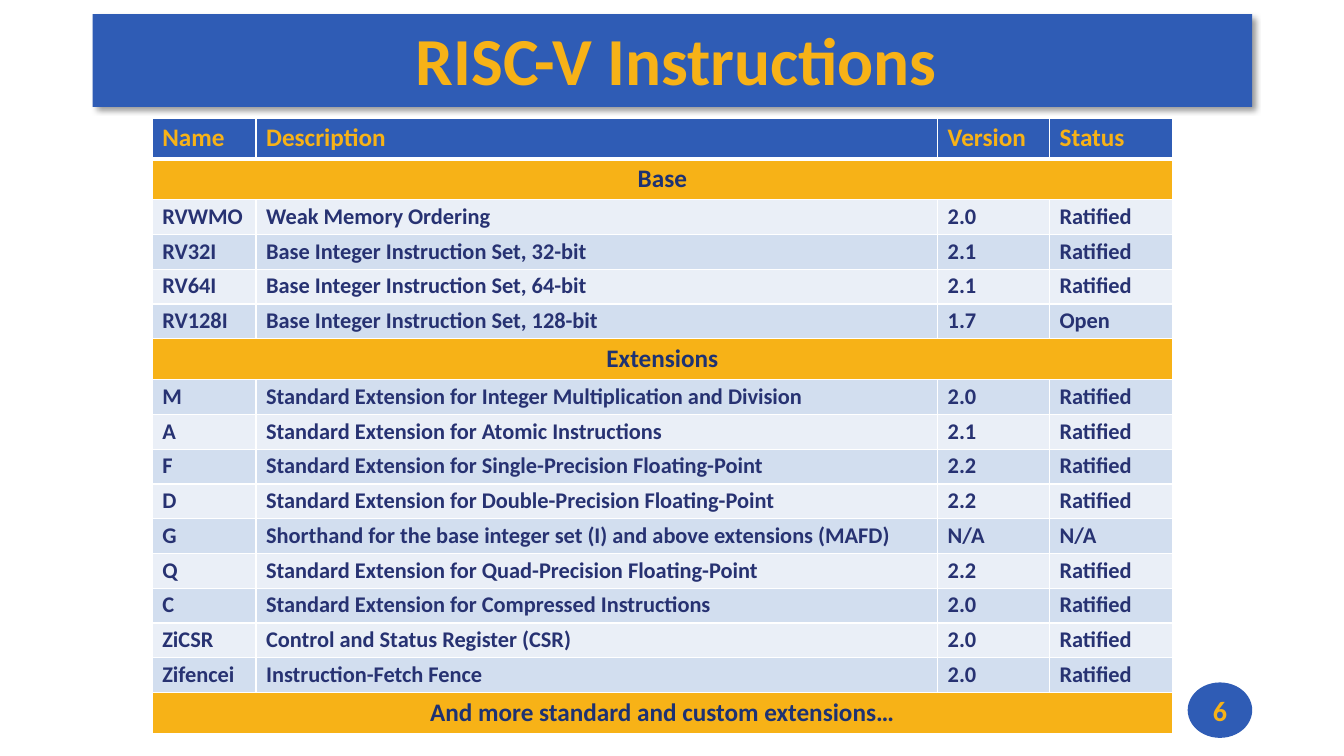
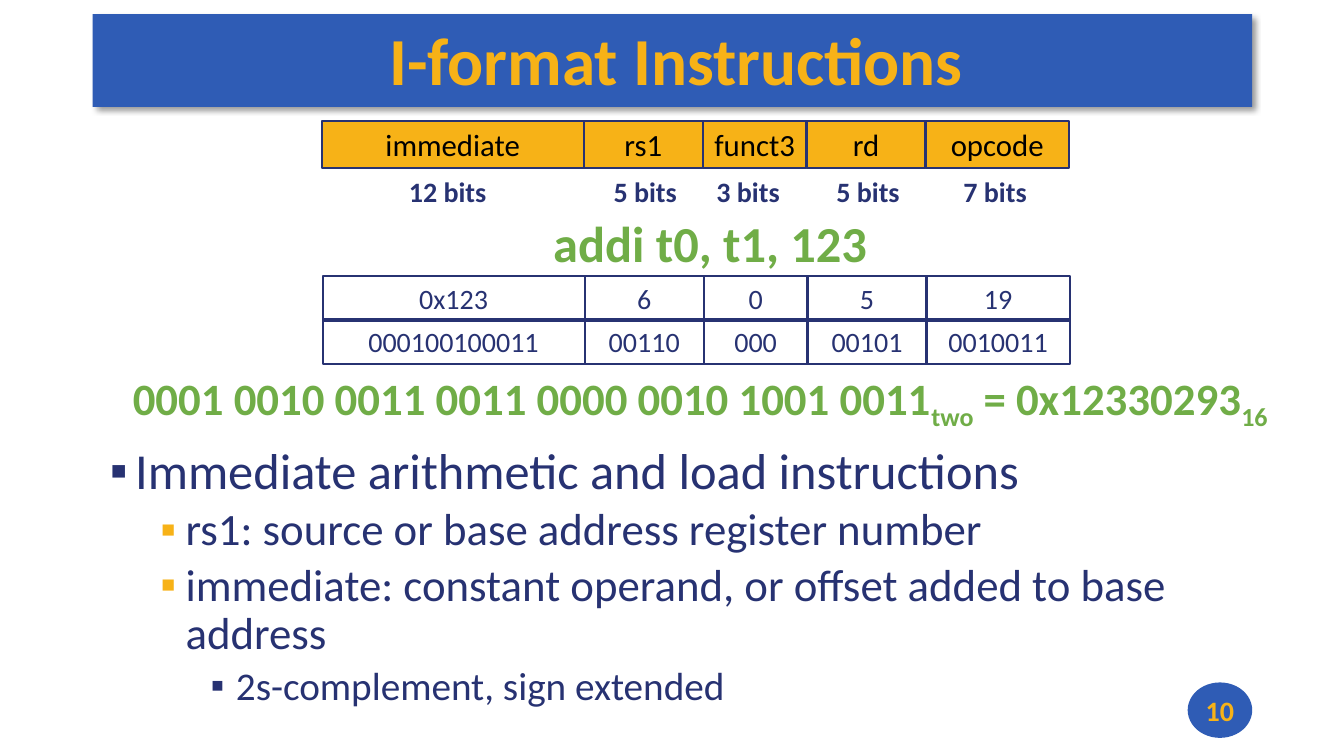
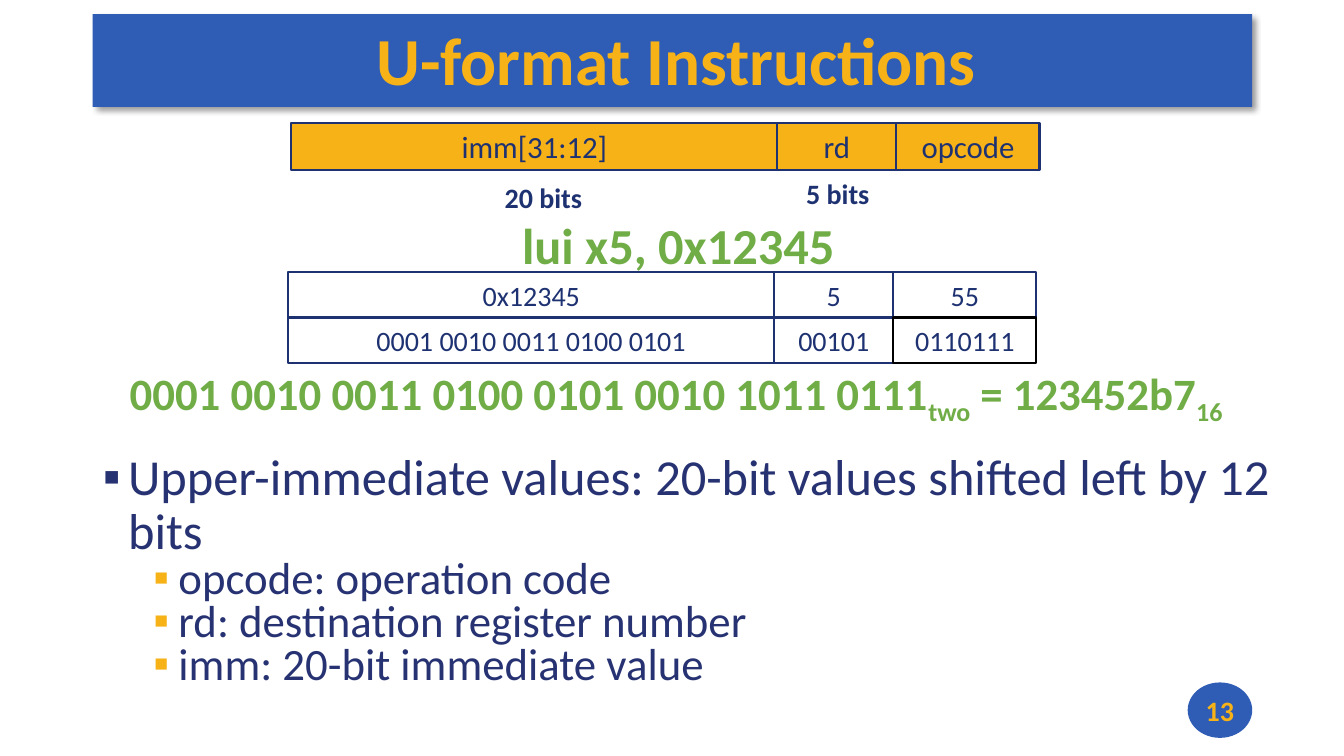
from lxml import etree
from pptx import Presentation
from pptx.dml.color import RGBColor
from pptx.enum import shapes, text
from pptx.oxml.ns import qn
from pptx.util import Inches, Pt

COLORS = {
    "blue": "2F5CB5", "gold": "F7B217", "navy": "1E3272", "ink": "273272",
    "green": "70AD47", "black": "000000", "white": "FFFFFF",
    "light": "EAEFF7", "pale": "D2DEEF",
}
FONT = "Calibri"
CENTER, LEFT = text.PP_ALIGN.CENTER, text.PP_ALIGN.LEFT
MIDDLE, TOP = text.MSO_ANCHOR.MIDDLE, text.MSO_ANCHOR.TOP
TITLE_ONLY, TITLE_AND_BODY = 5, 1

BASE_SETS = [
    ("RVWMO", "Weak Memory Ordering", "2.0", "Ratified"),
    ("RV32I", "Base Integer Instruction Set, 32-bit", "2.1", "Ratified"),
    ("RV64I", "Base Integer Instruction Set, 64-bit", "2.1", "Ratified"),
    ("RV128I", "Base Integer Instruction Set, 128-bit", "1.7", "Open"),
]
EXTENSIONS = [
    ("M", "Standard Extension for Integer Multiplication and Division", "2.0", "Ratified"),
    ("A", "Standard Extension for Atomic Instructions", "2.1", "Ratified"),
    ("F", "Standard Extension for Single-Precision Floating-Point", "2.2", "Ratified"),
    ("D", "Standard Extension for Double-Precision Floating-Point", "2.2", "Ratified"),
    ("G", "Shorthand for the base integer set (I) and above extensions (MAFD)", "N/A", "N/A"),
    ("Q", "Standard Extension for Quad-Precision Floating-Point", "2.2", "Ratified"),
    ("C", "Standard Extension for Compressed Instructions", "2.0", "Ratified"),
    ("ZiCSR", "Control and Status Register (CSR)", "2.0", "Ratified"),
    ("Zifencei", "Instruction-Fetch Fence", "2.0", "Ratified"),
]
INSTRUCTION_ROWS = [
    ("Name", "Description", "Version", "Status"),
    ("Base",), *BASE_SETS,
    ("Extensions",), *EXTENSIONS,
    ("And more standard and custom extensions…",),
]


def rgb(name):
    return RGBColor.from_string(COLORS[name])


def add_xml(parent, tag, **attributes):
    return etree.SubElement(parent, qn(tag), **attributes)


def write(paragraph, content, size=20, color="ink", bold=False, align=CENTER,
          line_spacing=1.0, space_before=0):
    paragraph.alignment = align
    paragraph.line_spacing = line_spacing
    paragraph.space_before = Pt(space_before)
    runs = [(content, False)] if isinstance(content, str) else content
    for words, subscript in runs:
        run = paragraph.add_run()
        run.text = words
        run.font.name = FONT
        run.font.size = Pt(size)
        run.font.bold = bold
        run.font.color.rgb = rgb(color)
        if subscript:
            run._r.get_or_add_rPr().set("baseline", "-25000")


def set_frame(frame, anchor=TOP, wrap=True, insets=(0.1, 0.05, 0.1, 0.05)):
    frame.word_wrap = wrap
    frame.auto_size = text.MSO_AUTO_SIZE.NONE
    frame.vertical_anchor = anchor
    frame.margin_left, frame.margin_top, frame.margin_right, frame.margin_bottom = map(Inches, insets)
    return frame.paragraphs[0]


def place(shape, box):
    shape.left, shape.top, shape.width, shape.height = map(Inches, box)


def add_label(slide, box, content, anchor=TOP, wrap=True, **style):
    label = slide.shapes.add_textbox(*map(Inches, box))
    write(set_frame(label.text_frame, anchor, wrap), content, **style)


def add_block(slide, kind, box, fill=None, line=None):
    shape = slide.shapes.add_shape(kind, *map(Inches, box))
    shape.shadow.inherit = False
    if fill:
        shape.fill.solid()
        shape.fill.fore_color.rgb = rgb(fill)
    else:
        shape.fill.background()
    if line:
        shape.line.color.rgb = rgb(line)
        shape.line.width = Pt(1.5)
    else:
        shape.line.fill.background()
    return shape


def add_shadow(shape):
    effects = shape.element.spPr.find(qn("a:effectLst"))
    shadow = add_xml(effects, "a:outerShdw", blurRad=str(Pt(4)), dist=str(Pt(3)),
                     dir="2700000", algn="tl", rotWithShape="0")
    color = add_xml(shadow, "a:srgbClr", val=COLORS["black"])
    add_xml(color, "a:alpha", val="40000")


def start_slide(presentation, layout, title, number):
    slide = presentation.slides.add_slide(presentation.slide_layouts[layout])
    band = add_block(slide, shapes.MSO_SHAPE.RECTANGLE, (0.92, 0.14, 11.5, 0.92), "blue")
    add_shadow(band)
    slide.shapes.element.insert(2, band.element)
    badge = add_block(slide, shapes.MSO_SHAPE.OVAL, (11.78, 6.77, 0.64, 0.55), "blue")
    write(set_frame(badge.text_frame, MIDDLE, False, (0, 0, 0, 0)), str(number),
          color="gold", bold=True)
    heading = slide.shapes.title
    place(heading, (0.92, 0.12, 11.5, 0.92))
    write(set_frame(heading.text_frame, MIDDLE, True, (0.08, 0.03, 0, 0.03)), title,
          size=48, color="gold", bold=True)
    return slide


def set_borders(cell, bottom_width):
    properties = cell._tc.get_or_add_tcPr()
    widths = {"a:lnL": 1, "a:lnR": 1, "a:lnT": 1, "a:lnB": bottom_width}
    for position, (tag, width) in enumerate(widths.items()):
        line = etree.Element(qn(tag), w=str(Pt(width)))
        add_xml(add_xml(line, "a:solidFill"), "a:srgbClr", val=COLORS["white"])
        properties.insert(position, line)


def add_instruction_table(slide, box, widths, rows):
    table = slide.shapes.add_table(len(rows), len(widths), *map(Inches, box)).table
    for column, width in zip(table.columns, widths):
        column.width = Inches(width)
    for row_index, values in enumerate(rows):
        section = len(values) == 1
        if row_index == 0:
            fill, style = "blue", dict(size=18, color="gold", align=LEFT)
        elif section:
            fill, style = "gold", dict(size=18, color="navy", align=CENTER)
        else:
            fill = "pale" if row_index % 2 else "light"
            style = dict(size=16, color="ink", align=LEFT, line_spacing=0.9)
        table.rows[row_index].height = Inches(0.4 if style["size"] == 18 else 0.34)
        if section:
            table.cell(row_index, 0).merge(table.cell(row_index, len(widths) - 1))
        for cell in table.rows[row_index].cells:
            cell.fill.solid()
            cell.fill.fore_color.rgb = rgb(fill)
            set_borders(cell, 1 if row_index else 3)
        for column_index, value in enumerate(values):
            write(table.cell(row_index, column_index).text_frame.paragraphs[0], value,
                  bold=True, **style)


def add_field_row(slide, left, top, height, widths, values, line, fill=None,
                  last_line=None, **style):
    for index, (width, value) in enumerate(zip(widths, values)):
        last = index == len(widths) - 1
        field = add_block(slide, shapes.MSO_SHAPE.RECTANGLE, (left, top, width, height),
                          fill, last_line if last and last_line else line)
        write(set_frame(field.text_frame, MIDDLE, insets=(0.05, 0.05, 0.05, 0.05)), value, **style)
        left += width


def add_bit_labels(slide, labels, color):
    for content, center, top in labels:
        add_label(slide, (center - 0.5, top, 1, 0.44), content, wrap=False, color=color, bold=True)


def add_bullets(slide, box, items, first_spacing, sub_spacing, space_before):
    body = slide.placeholders[1]
    place(body, box)
    set_frame(body.text_frame)
    for index, (level, content) in enumerate(items):
        paragraph = body.text_frame.paragraphs[0] if index == 0 else body.text_frame.add_paragraph()
        paragraph.level = level
        properties = paragraph._p.get_or_add_pPr()
        properties.set("marL", str(Inches(0.25 + 0.5 * level)))
        properties.set("indent", str(Inches(-0.25)))
        bullet_color = add_xml(properties, "a:buClr")
        add_xml(bullet_color, "a:srgbClr", val=COLORS["gold" if level == 1 else "ink"])
        add_xml(properties, "a:buChar", char="▪")
        write(paragraph, content, size=36 - 4 * level, align=LEFT,
              line_spacing=sub_spacing if level else first_spacing,
              space_before=space_before if index else 0)


def encoded_word(binary, hexadecimal):
    return [(binary, False), ("two", True), (f" = {hexadecimal}", False), ("16", True)]


def build_overview(presentation):
    slide = start_slide(presentation, TITLE_ONLY, "RISC-V Instructions", 6)
    add_instruction_table(slide, (1.51, 1.17, 10.12, 6.03), (1.03, 6.76, 1.11, 1.22),
                          INSTRUCTION_ROWS)


def build_i_format(presentation):
    slide = start_slide(presentation, TITLE_AND_BODY, "I-format Instructions", 10)
    widths = (2.6, 1.18, 1.03, 1.18, 1.42)
    add_field_row(slide, 3.19, 1.2, 0.47, widths, ("immediate", "rs1", "funct3", "rd", "opcode"),
                  "ink", "gold", size=22, color="black")
    add_bit_labels(slide, [("12 bits", 4.44, 1.68), ("5 bits", 6.4, 1.68), ("3 bits", 7.42, 1.68),
                           ("5 bits", 8.61, 1.68), ("7 bits", 9.87, 1.68)], "ink")
    add_label(slide, (5.37, 2.06, 3.35, 0.71), "addi t0, t1, 123", wrap=False,
              size=36, color="green", bold=True)
    for top, values in ((2.74, ("0x123", "6", "0", "5", "19")),
                        (3.17, ("000100100011", "00110", "000", "00101", "0010011"))):
        add_field_row(slide, 3.2, top, 0.44, widths, values, "ink")
    add_label(slide, (1.08, 3.63, 11.73, 0.64),
              encoded_word("0001 0010 0011 0011 0000 0010 1001 0011", "0x12330293"),
              size=32, color="green", bold=True)
    add_bullets(slide, (0.99, 4.37, 11.5, 3.04), [
        (0, "Immediate arithmetic and load instructions"),
        (1, "rs1: source or base address register number"),
        (1, "immediate: constant operand, or offset added to base address"),
        (2, "2s-complement, sign extended"),
    ], 0.9, 0.9, 5)


def build_u_format(presentation):
    slide = start_slide(presentation, TITLE_AND_BODY, "U-format Instructions", 13)
    widths = (4.82, 1.18, 1.42)
    add_field_row(slide, 2.89, 1.22, 0.47, widths, ("imm[31:12]", "rd", "opcode"),
                  "navy", "gold", size=22, color="navy")
    add_bit_labels(slide, [("20 bits", 5.39, 1.74), ("5 bits", 8.31, 1.7)], "navy")
    add_label(slide, (3.73, 2.07, 6, 0.71), "lui x5, 0x12345", MIDDLE,
              size=36, color="green", bold=True)
    for top, values, last_line in ((2.7, ("0x12345", "5", "55"), "navy"),
                                   (3.15, ("0001 0010 0011 0100 0101", "00101", "0110111"), "black")):
        add_field_row(slide, 2.86, top, 0.45, widths, values, "navy",
                      last_line=last_line, color="navy")
    add_label(slide, (0.97, 3.58, 11.47, 0.63),
              encoded_word("0001 0010 0011 0100 0101 0010 1011 0111", "123452b7"),
              size=32, color="green", bold=True)
    add_bullets(slide, (0.92, 4.43, 11.88, 2.64), [
        (0, "Upper-immediate values: 20-bit values shifted left by 12 bits"),
        (1, "opcode: operation code"),
        (1, "rd: destination register number"),
        (1, "imm: 20-bit immediate value"),
    ], 0.9, 0.8, 0)


def main():
    presentation = Presentation()
    presentation.slide_width = Inches(13.33)
    presentation.slide_height = Inches(7.5)
    build_overview(presentation)
    build_i_format(presentation)
    build_u_format(presentation)
    presentation.save("out.pptx")


if __name__ == "__main__":
    main()
